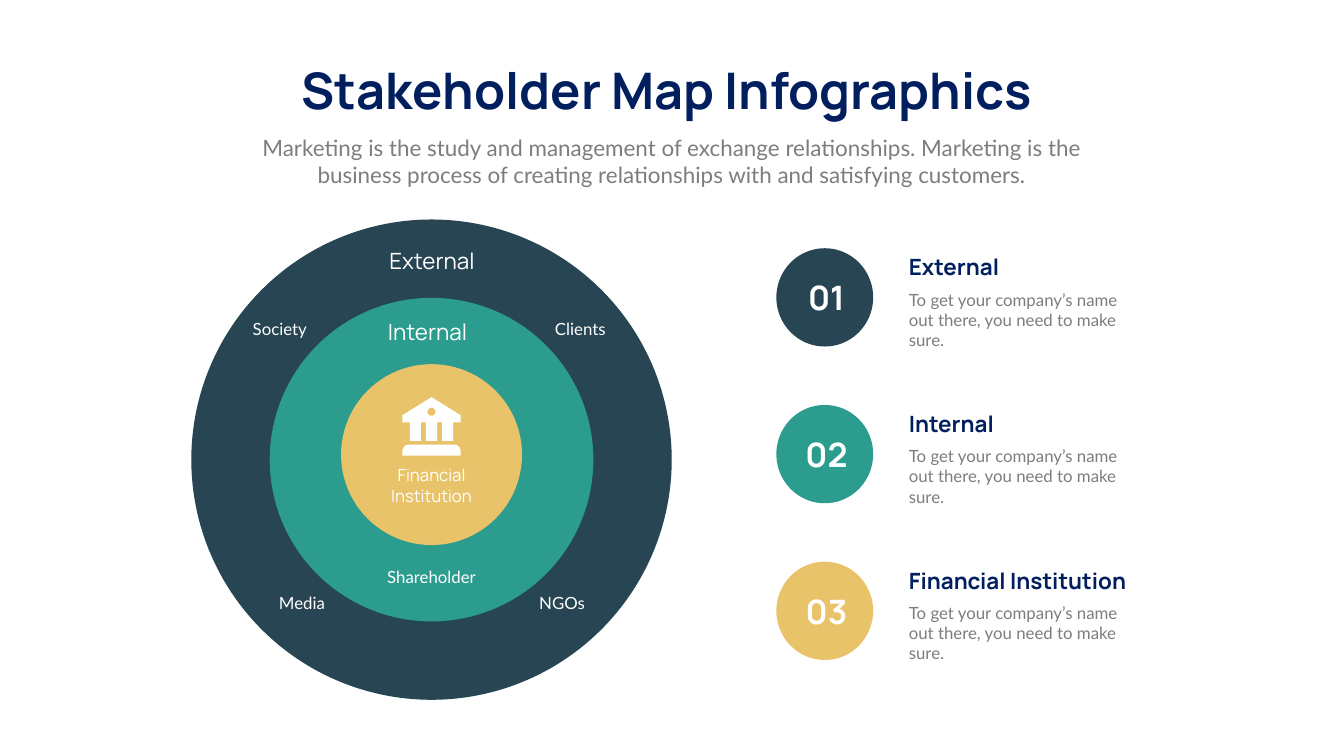
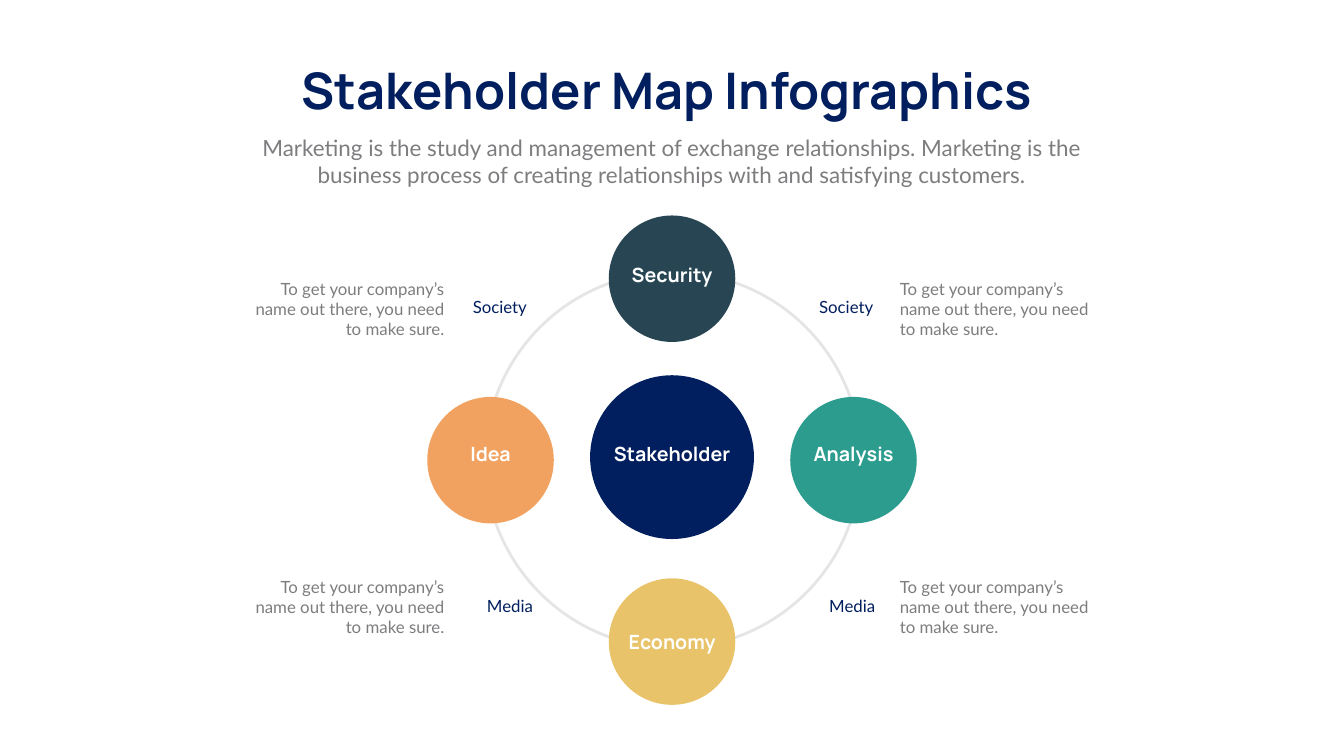
"""Build two stakeholder map slides: nested circles with a legend, and a hub with four nodes."""
from dataclasses import dataclass
from math import cos, radians, sin

from lxml.etree import SubElement
from pptx import Presentation
from pptx.dml.color import RGBColor
from pptx.enum.shapes import MSO_SHAPE as Shape
from pptx.enum.text import MSO_ANCHOR as Anchor, MSO_AUTO_SIZE as AutoSize, PP_ALIGN as Align
from pptx.oxml.ns import qn
from pptx.util import Inches, Pt


@dataclass(frozen=True)
class Theme:
    navy: str = "011F5E"
    slate: str = "274553"
    teal: str = "2B9C8E"
    gold: str = "E8C369"
    orange: str = "F2A260"
    grey: str = "7E7C7F"
    ring: str = "808080"
    white: str = "FFFFFF"
    heading: str = "Manrope"
    body: str = "Lato"
    title_size: int = 72
    number_size: int = 48
    lead_size: int = 32
    node_size: int = 28
    text_size: int = 24


THEME = Theme()
WIDTH, HEIGHT = 26.66, 15
MIDDLE = WIDTH / 2

TITLE = "Stakeholder Map Infographics "
INTRO = ("Marketing is the study and management of exchange relationships. "
         "Marketing is the business process of creating relationships with "
         "and satisfying customers.")
CAPTION = "To get your company’s name out there, you need to make sure."

MAP_CENTER = 8.56
MAP_CIRCLES = [(9.12, 9.53, THEME.slate), (9.12, 6.42, THEME.teal), (9.02, 3.59, THEME.gold)]
MAP_HEADINGS = [("External", 8.57, 4.86, THEME.lead_size),
                ("Internal", 8.48, 6.26, THEME.lead_size),
                ("Financial\nInstitution", 8.56, 9.18, THEME.text_size)]
MAP_GROUPS = [("Society", 5.55, 6.28), ("Clients", 11.51, 6.28), ("Shareholder", 8.56, 11.19),
              ("Media", 5.99, 11.72), ("NGOs", 11.15, 11.72)]

LEGEND = [("External", THEME.slate), ("Internal", THEME.teal),
          ("Financial Institution", THEME.gold)]
LEGEND_LEFT, LEGEND_TOP, LEGEND_PITCH = 15.4, 4.93, 3.11

HUB_Y, ORBIT, NODE = 9.13, 3.6, 2.51
NODES = [("Security", 0, -1, 5.17, THEME.slate), ("Economy", 0, 1, 12.44, THEME.gold),
         ("Analysis", 1, 0, 8.71, THEME.teal), ("Idea", -1, 0, 8.71, THEME.orange)]
CORNERS = [("Society", 5.84, 5.48, 2.78, 2.82), ("Media", 11.78, 11.39, 2.66, 3.02)]
CAPTION_GAP, CAPTION_WIDTH, TOPIC_WIDTH = 4.42, 3.97, 2.58


def rgb(color):
    return RGBColor.from_string(color)


def write(holder, text, box, size=THEME.text_size, font=THEME.body, color=THEME.white,
          bold=False, align=Align.CENTER, wrap=True):
    holder.left, holder.top, holder.width, holder.height = map(Inches, box)
    frame = holder.text_frame
    frame.word_wrap = wrap
    frame.auto_size = AutoSize.SHAPE_TO_FIT_TEXT
    frame.vertical_anchor = Anchor.TOP
    frame.text = text
    for paragraph in frame.paragraphs:
        paragraph.alignment = align
        paragraph.space_before = Pt(0)
        paragraph.font.size = Pt(size)
        paragraph.font.name = font
        paragraph.font.bold = bold
        paragraph.font.color.rgb = rgb(color)


def label(slide, text, box, **style):
    write(slide.shapes.add_textbox(0, 0, 0, 0), text, box, **style)


def paint(shape, color):
    shape.shadow.inherit = False
    shape.fill.solid()
    shape.fill.fore_color.rgb = rgb(color)
    shape.line.fill.background()


def circle(slide, x, y, width, color, height=None):
    height = height or width
    disc = slide.shapes.add_shape(Shape.OVAL, Inches(x - width / 2), Inches(y - height / 2),
                                  Inches(width), Inches(height))
    paint(disc, color)
    return disc


def arc(x, y, radius, start, end, steps=12):
    angles = [radians(start + (end - start) * i / steps) for i in range(steps + 1)]
    return [(x + radius * cos(a), y + radius * sin(a)) for a in angles]


def outline(shapes, contours, color):
    def emu(points):
        return [(Inches(x), Inches(y)) for x, y in points]

    builder = shapes.build_freeform(*emu(contours[0])[0])
    for index, contour in enumerate(contours):
        first, *rest = emu(contour)
        if index:
            builder.move_to(*first)
        builder.add_line_segments(rest, close=True)
    paint(builder.convert_to_shape(), color)


def bank_icon(slide, x, top):
    shapes = slide.shapes.add_group_shape().shapes
    left, right, bottom, corner = x - 0.58, x + 0.58, top + 1.16, 0.14
    base = [(left, bottom), *arc(left + corner, bottom - 0.08, corner, 180, 270),
            *arc(right - corner, bottom - 0.08, corner, 270, 360), (right, bottom)]
    outline(shapes, [base], THEME.white)

    eaves, foot = top + 0.5, top + 0.87
    temple = [(x, top), (left, top + 0.36), (left, eaves)]
    for column in range(3):
        start = x - 0.43 + 0.32 * column
        temple += [(start, eaves), (start, foot), (start + 0.22, foot), (start + 0.22, eaves)]
    temple += [(right, eaves), (right, top + 0.36)]
    outline(shapes, [temple, arc(x, top + 0.29, 0.08, 360, 0, 24)], THEME.white)


def add_slide(deck):
    slide = deck.slides.add_slide(deck.slide_layouts[0])
    intro = slide.placeholders[1]
    write(slide.shapes.title, TITLE, (5.3, 1.12, 16.06, 1.31), size=THEME.title_size,
          font=THEME.heading, color=THEME.navy, bold=True, wrap=False)
    write(intro, INTRO, (4.58, 2.61, 17.49, 1.18), size=THEME.lead_size, color=THEME.grey)
    return slide


def circles_slide(deck):
    slide = add_slide(deck)
    for y, size, color in MAP_CIRCLES:
        circle(slide, MAP_CENTER, y, size, color)
    for text, x, top, size in MAP_HEADINGS:
        label(slide, text, (x - 1.29, top, 2.58, 0.64), size=size, font=THEME.heading)
    for text, x, top in MAP_GROUPS:
        label(slide, text, (x - 1.29, top, 2.58, 0.5))
    bank_icon(slide, MAP_CENTER, 7.88)

    text_left = LEGEND_LEFT + 2.53
    for row, (name, color) in enumerate(LEGEND):
        top = LEGEND_TOP + row * LEGEND_PITCH
        circle(slide, LEGEND_LEFT + 0.96, top + 0.97, 1.92, color, height=1.95)
        label(slide, f"{row + 1:02}", (LEGEND_LEFT + 0.27, top + 0.52, 1.45, 0.91),
              size=THEME.number_size, font=THEME.heading, bold=True)
        label(slide, CAPTION, (text_left, top + 0.76, 4.83, 0.91),
              color=THEME.grey, align=Align.LEFT)
        label(slide, name, (text_left, top + 0.05, 6.15, 0.64), size=THEME.lead_size,
              font=THEME.heading, color=THEME.navy, bold=True, align=Align.LEFT)


def hub_slide(deck):
    slide = add_slide(deck)
    ring = circle(slide, MIDDLE + 0.02, HUB_Y, 7.46, THEME.white)
    ring.fill.background()
    ring.line.color.rgb = rgb(THEME.ring)
    ring.line.width = Pt(4)
    stroke = next(ring.line._get_or_add_ln().iter(qn("a:srgbClr")))
    SubElement(stroke, qn("a:alpha"), val="20000")

    node_style = dict(size=THEME.node_size, font=THEME.heading, bold=True)
    circle(slide, MIDDLE, HUB_Y - 0.06, 3.25, THEME.navy)
    label(slide, "Stakeholder", (MIDDLE - 1.63, 8.71, 3.26, 0.57), **node_style)
    for name, across, down, top, color in NODES:
        x = MIDDLE + across * ORBIT
        circle(slide, x, HUB_Y + down * ORBIT, NODE, color)
        label(slide, name, (x - 1.63, top, 3.26, 0.57), **node_style)

    for topic, topic_top, caption_top, left_gap, right_gap in CORNERS:
        for side, gap, align in ((-1, left_gap, Align.RIGHT), (1, right_gap, Align.LEFT)):
            for text, top, inner, width, height, color in (
                    (topic, topic_top, gap, TOPIC_WIDTH, 0.5, THEME.navy),
                    (CAPTION, caption_top, CAPTION_GAP, CAPTION_WIDTH, 1.31, THEME.grey)):
                left = MIDDLE + side * inner - (width if side < 0 else 0)
                label(slide, text, (left, top, width, height), color=color, align=align)


def main():
    deck = Presentation()
    deck.slide_width, deck.slide_height = Inches(WIDTH), Inches(HEIGHT)
    circles_slide(deck)
    hub_slide(deck)
    deck.save("out.pptx")


if __name__ == "__main__":
    main()
